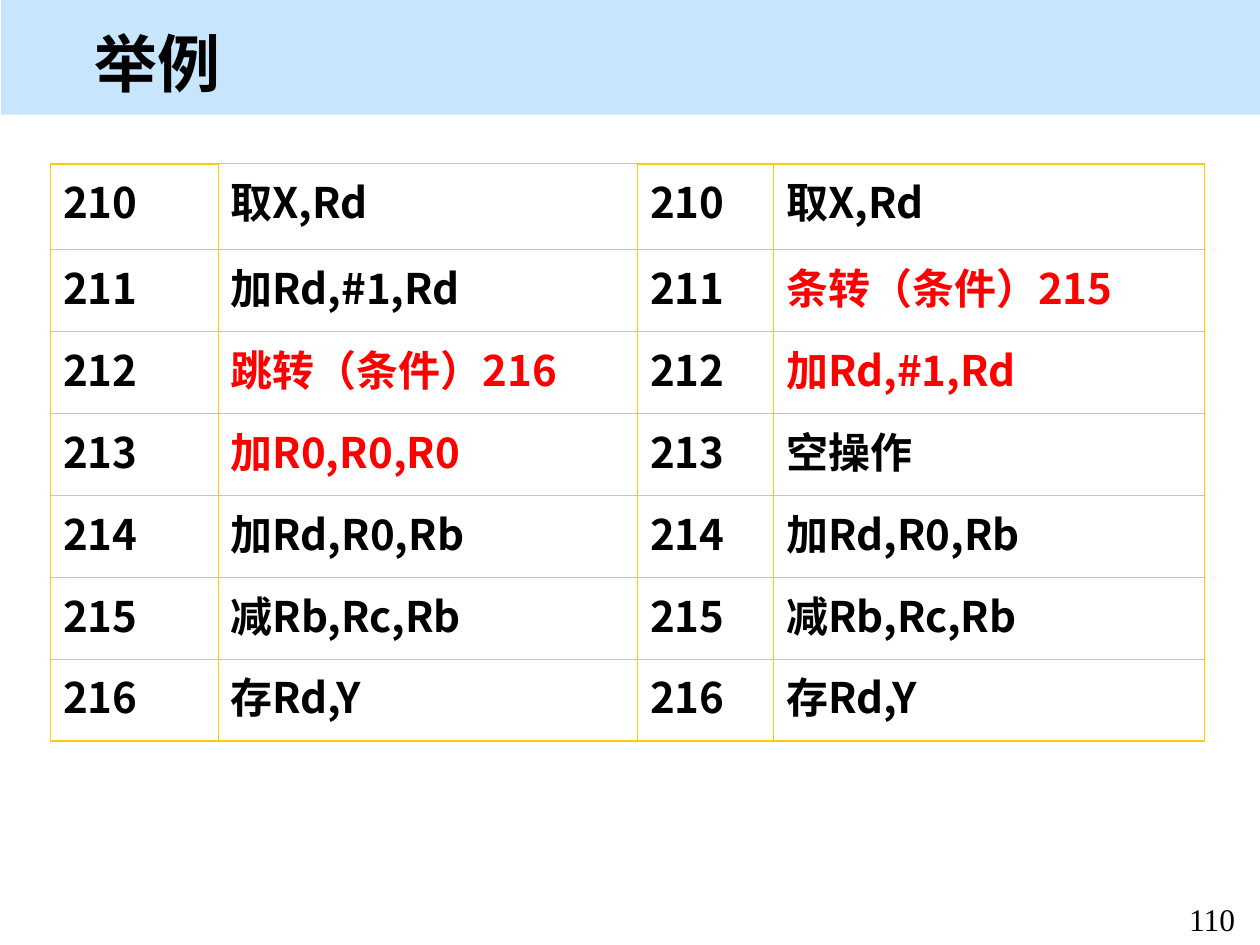
from dataclasses import dataclass

from lxml import etree
from pptx import Presentation
from pptx import util as u
from pptx.dml.color import RGBColor
from pptx.enum import shapes, text
from pptx.oxml.ns import qn


@dataclass(frozen=True)
class Theme:
    sans: str = "Noto Sans CJK SC"
    serif: str = "Times New Roman"
    ink: str = "000000"
    mark: str = "FF0000"
    band: str = "C7E6FD"
    rule: str = "FFCC00"
    thin: float = 0.45
    thick: float = 1.08
    head: int = 36
    body: int = 24
    foot: int = 18


THEME = Theme()
WIDE, HIGH = 10, 7.5
COLS = (1.33, 3.33, 1.08, 3.42)
FIRST, REST = 0.68, 0.65
START = 210
LEFT = ("取X,Rd", "加Rd,#1,Rd", "跳转（条件）216", "加R0,R0,R0",
        "加Rd,R0,Rb", "减Rb,Rc,Rb", "存Rd,Y")
RIGHT = ("取X,Rd", "条转（条件）215", "加Rd,#1,Rd", "空操作",
         "加Rd,R0,Rb", "减Rb,Rc,Rb", "存Rd,Y")
MARKED = {(2, 1), (3, 1), (1, 3), (2, 3)}
JUSTIFIED = {(3, 1), (4, 1), (3, 3), (4, 3)}


def place(x, y, w, h):
    return [u.Inches(n) for n in (x, y, w, h)]


def write(frame, words, size, font=THEME.sans, color=THEME.ink, bold=True, align=None):
    para = frame.paragraphs[0]
    para.alignment = align
    run = para.add_run()
    run.text = words
    run.font.size = u.Pt(size)
    run.font.name = font
    run.font.bold = bold
    run.font.color.rgb = RGBColor.from_string(color)
    east = etree.SubElement(run.font._element, qn("a:ea"))
    east.set("typeface", font)


def add_band(slide):
    """Put the title band behind everything else."""
    band = slide.shapes.add_shape(shapes.MSO_SHAPE.RECTANGLE, *place(0.01, 0, WIDE - 0.01, 0.91))
    band.shadow.inherit = False
    band.fill.solid()
    band.fill.fore_color.rgb = RGBColor.from_string(THEME.band)
    band.line.fill.background()
    slide.shapes._spTree.insert(2, band._element)


def set_title(slide, words):
    title = slide.shapes.title
    title.left, title.top, title.width, title.height = place(0.65, 0.16, 9.16, 0.67)
    frame = title.text_frame
    frame.auto_size = text.MSO_AUTO_SIZE.NONE
    frame.vertical_anchor = text.MSO_ANCHOR.MIDDLE
    write(frame, words, THEME.head, align=text.PP_ALIGN.JUSTIFY)


def add_number(slide, words):
    frame = slide.shapes.add_textbox(*place(9.27, 7.09, 0.7, 0.33)).text_frame
    frame.word_wrap = True
    write(frame, words, THEME.foot, THEME.serif, bold=False, align=text.PP_ALIGN.CENTER)


def set_edges(cell, heavy):
    """Rule all four sides, with the sides named in heavy drawn thick."""
    props = cell._tc.get_or_add_tcPr()
    for side in "LRTB":
        width = THEME.thick if side in heavy else THEME.thin
        line = etree.SubElement(props, qn("a:ln" + side), w=str(u.Pt(width)))
        fill = etree.SubElement(line, qn("a:solidFill"))
        etree.SubElement(fill, qn("a:srgbClr"), val=THEME.rule)


def fill_cell(cell, row, col, words, last):
    heavy = {side for side, edge in (
        ("L", col == 0), ("R", col == len(COLS) - 1),
        ("T", row == 0 and col != 1), ("B", row == last)) if edge}
    set_edges(cell, heavy)
    cell.fill.background()
    spot = row, col
    write(cell.text_frame, words, THEME.body,
          color=THEME.mark if spot in MARKED else THEME.ink,
          align=text.PP_ALIGN.JUSTIFY if spot in JUSTIFIED else None)


def add_code(slide):
    count = len(LEFT)
    high = FIRST + REST * (count - 1)
    table = slide.shapes.add_table(count, len(COLS), *place(0.4, 1.3, sum(COLS), high)).table
    table.first_row = table.horz_banding = False
    for col, wide in zip(table.columns, COLS):
        col.width = u.Inches(wide)
    for row, (left, right) in enumerate(zip(LEFT, RIGHT)):
        table.rows[row].height = u.Inches(REST if row else FIRST)
        step = str(START + row)
        for col, words in enumerate((step, left, step, right)):
            fill_cell(table.cell(row, col), row, col, words, count - 1)


def main():
    deck = Presentation()
    deck.slide_width, deck.slide_height = u.Inches(WIDE), u.Inches(HIGH)
    slide = deck.slides.add_slide(deck.slide_layouts[5])
    add_band(slide)
    set_title(slide, "举例")
    add_code(slide)
    add_number(slide, "110")
    deck.save("out.pptx")


if __name__ == "__main__":
    main()
